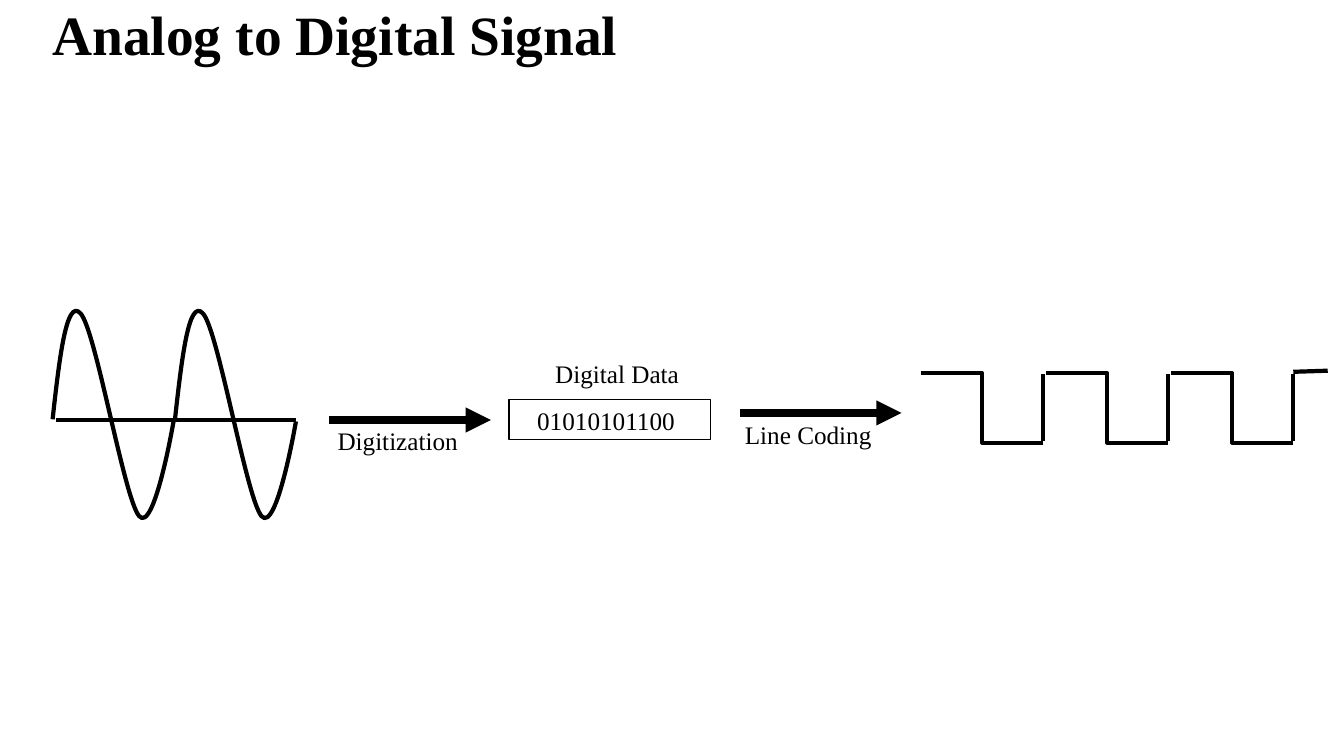
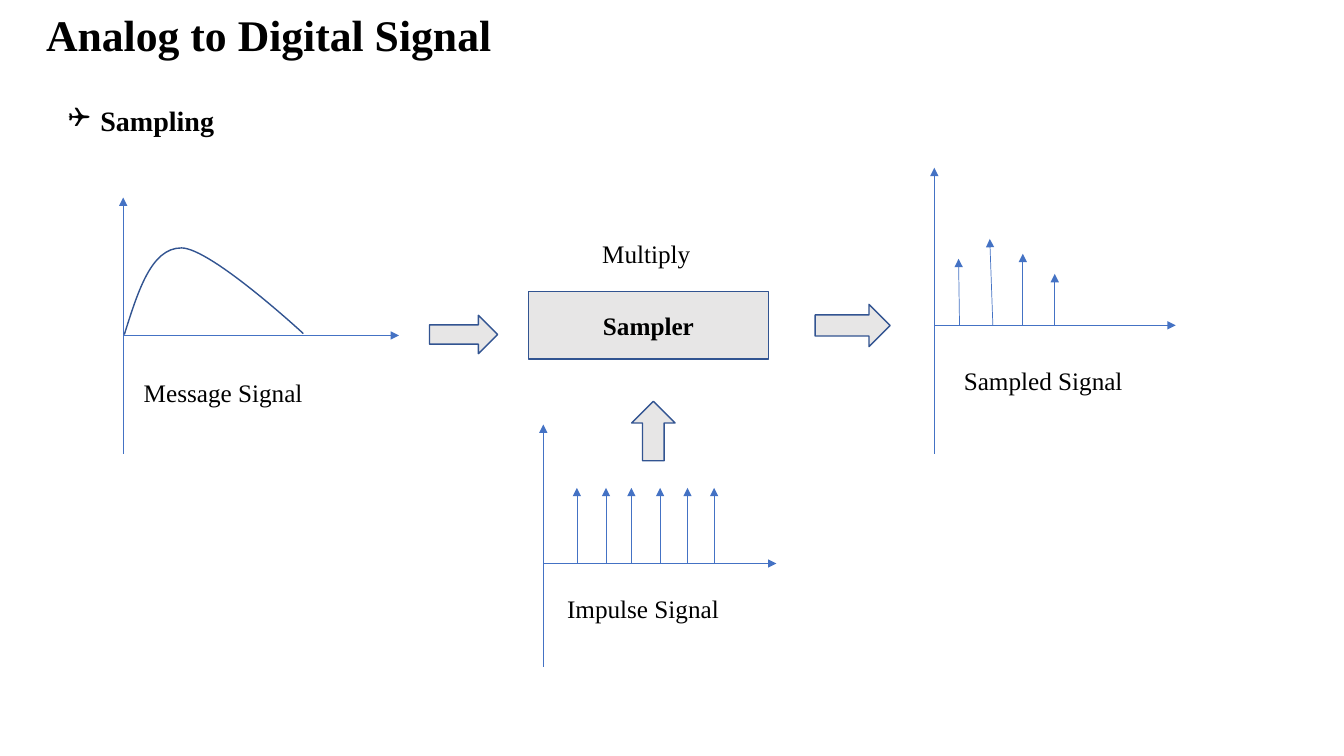
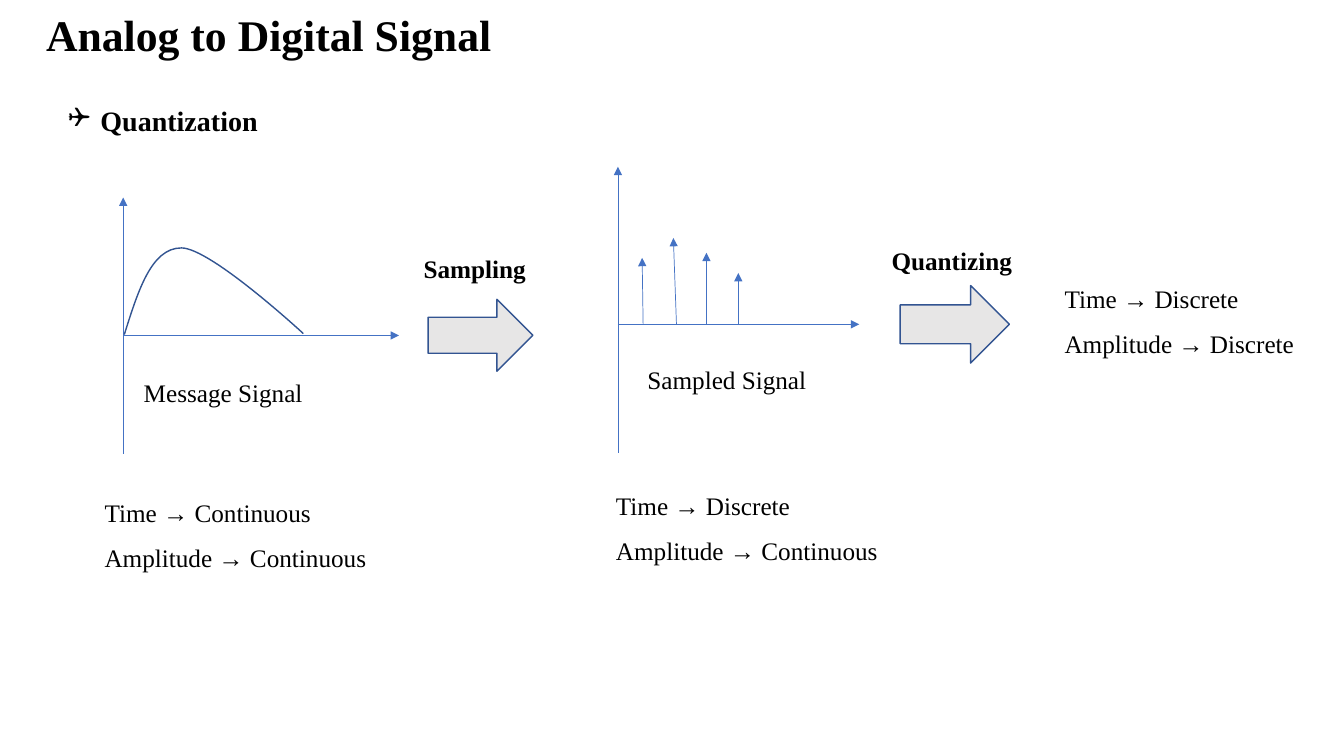
from dataclasses import dataclass
from typing import Any

from pptx import Presentation
from pptx import util as u
from pptx.dml.color import RGBColor
from pptx.enum import shapes, text
from pptx.oxml import ns, xmlchemy
from pptx.slide import Slide

FONT = "Times New Roman"
BULLET_FONT = "Wingdings"
TITLE = "Analog to Digital Signal"
TITLE_ONLY = 5
COLORS = {
    "ink": "000000",
    "paper": "FFFFFF",
    "axis": "4472C4",
    "outline": "325491",
    "panel": "E7E6E6",
}

Point = tuple[float, float]
Bezier = tuple[Point, Point, Point]


@dataclass(frozen=True)
class Stroke:
    color: str
    width: float
    arrow: bool = False


@dataclass(frozen=True)
class Label:
    lines: tuple[str, ...]
    left: float
    top: float
    width: float = 136.8
    bold: bool = False
    spacing: float = 1.0


@dataclass(frozen=True)
class Block:
    kind: Any
    left: float
    top: float
    width: float
    height: float
    fill: str = "panel"
    line: Stroke = Stroke("outline", 1)


@dataclass(frozen=True)
class Impulse:
    offset: float
    height: float
    lean: float = 0


@dataclass(frozen=True)
class Axes:
    """Axis lengths are measured from the origin."""
    x: float
    y: float
    right: float
    up: float
    down: float
    impulses: tuple[Impulse, ...] = ()


INK = Stroke("ink", 3)
THICK_ARROW = Stroke("ink", 6, arrow=True)
AXIS = Stroke("axis", 0.5, arrow=True)
CURVE = Stroke("outline", 1)

SAMPLES = (
    Impulse(18, 47.5, -0.7),
    Impulse(41.8, 61.7, -2.2),
    Impulse(63.2, 51.1),
    Impulse(86, 36.7),
)
TRAIN = tuple(Impulse(offset, 54) for offset in (24, 44.8, 62.9, 83.4, 103, 122))

SINE_START: Point = (37.6, 299.5)
SINE_CYCLE: tuple[Bezier, ...] = (
    ((42.5, 255.6), (47.5, 212.4), (57.6, 223.9)),
    ((68.4, 235.4), (88.6, 355.7), (99.4, 368.6)),
    ((110.2, 381.6), (124, 301), (124, 301)),
)
MESSAGE_START: Point = (88.8, 239)
MESSAGE_CURVE: tuple[Bezier, ...] = (
    ((98.6, 208.1), (108, 177.1), (129.6, 177.1)),
    ((150.5, 177.1), (216.7, 238.3), (216.7, 238.3)),
)


def rgb(name: str) -> RGBColor:
    return RGBColor.from_string(COLORS[name])


def set_format(target: Any, values: dict[str, Any]) -> None:
    for name, value in values.items():
        setattr(target, name, value)


def set_line(shape: Any, stroke: Stroke) -> None:
    shape.line.color.rgb = rgb(stroke.color)
    shape.line.width = u.Pt(stroke.width)


def add_element(parent: Any, tag: str, **attributes: str) -> Any:
    child = xmlchemy.OxmlElement(tag)
    for name, value in attributes.items():
        child.set(name, value)
    parent.append(child)
    return child


def write(para: Any, wording: str, size: float, bold: bool) -> None:
    span = para.add_run()
    span.text = wording
    set_format(span.font, {"name": FONT, "size": u.Pt(size), "bold": bold})
    span.font.color.rgb = rgb("ink")


def add_title_slide(deck: Any, left: float, top: float, width: float,
                    height: float, size: float) -> Slide:
    slide = deck.slides.add_slide(deck.slide_layouts[TITLE_ONLY])
    title = slide.shapes.title
    set_format(title, {"left": u.Pt(left), "top": u.Pt(top),
                       "width": u.Pt(width), "height": u.Pt(height)})
    set_format(title.text_frame, {"word_wrap": True,
                                  "auto_size": text.MSO_AUTO_SIZE.NONE,
                                  "vertical_anchor": text.MSO_ANCHOR.MIDDLE})
    para = title.text_frame.paragraphs[0]
    set_format(para, {"alignment": text.PP_ALIGN.LEFT, "line_spacing": 0.9})
    write(para, TITLE, size, True)
    return slide


def add_topic_slide(deck: Any, topic: str) -> Slide:
    """Add a slide with the smaller title and one bulleted heading."""
    slide = add_title_slide(deck, 25.7, 0.5, 934.3, 52.6, 31.2)
    box = slide.shapes.add_textbox(u.Pt(41.6), u.Pt(58.3), u.Pt(918.4), u.Pt(474.5))
    box.text_frame.word_wrap = True
    para = box.text_frame.paragraphs[0]
    set_format(para, {"line_spacing": 1.5, "space_before": u.Pt(10)})
    write(para, f" {topic}", 20, True)
    properties = para._p.get_or_add_pPr()
    properties.set("marL", str(u.Pt(18)))
    properties.set("indent", str(u.Pt(-18)))
    add_element(properties, "a:buFont", typeface=BULLET_FONT)
    add_element(properties, "a:buChar", char="❑")
    return slide


def add_label(slide: Slide, label: Label) -> None:
    height = 28.8 if len(label.lines) == 1 else 69.1
    box = slide.shapes.add_textbox(u.Pt(label.left), u.Pt(label.top),
                                   u.Pt(label.width), u.Pt(height))
    frame = box.text_frame
    set_format(frame, {"word_wrap": True,
                       "auto_size": text.MSO_AUTO_SIZE.SHAPE_TO_FIT_TEXT})
    for index, wording in enumerate(label.lines):
        para = frame.add_paragraph() if index else frame.paragraphs[0]
        para.line_spacing = label.spacing
        write(para, wording, 18, label.bold)


def add_block(slide: Slide, block: Block) -> Any:
    shape = slide.shapes.add_shape(block.kind, u.Pt(block.left), u.Pt(block.top),
                                   u.Pt(block.width), u.Pt(block.height))
    shape.shadow.inherit = False
    shape.fill.solid()
    shape.fill.fore_color.rgb = rgb(block.fill)
    set_line(shape, block.line)
    return shape


def add_line(slide: Slide, start: Point, end: Point, stroke: Stroke,
             kind: Any = shapes.MSO_CONNECTOR.STRAIGHT) -> None:
    line = slide.shapes.add_connector(kind, *(u.Pt(value) for value in start + end))
    set_line(line, stroke)
    properties = line.element.spPr
    if stroke.arrow:
        add_element(properties.find(ns.qn("a:ln")), "a:tailEnd", type="triangle")
    add_element(properties, "a:effectLst")


def add_curve(slide: Slide, start: Point, curves: tuple[Bezier, ...],
              stroke: Stroke, shift: float = 0) -> None:
    """Build a freeform through the end points, then bend each segment."""
    def place(point: Point) -> tuple[int, int]:
        return u.Pt(point[0] + shift), u.Pt(point[1])

    builder = slide.shapes.build_freeform(*place(start))
    builder.add_line_segments([place(curve[-1]) for curve in curves], close=False)
    shape = builder.convert_to_shape()
    shape.shadow.inherit = False
    shape.fill.background()
    set_line(shape, stroke)
    segments = list(shape.element.iter(ns.qn("a:lnTo")))
    for segment, curve in zip(segments, curves):
        bend = xmlchemy.OxmlElement("a:cubicBezTo")
        for x, y in map(place, curve):
            add_element(bend, "a:pt", x=str(x - shape.left), y=str(y - shape.top))
        segment.getparent().replace(segment, bend)


def add_axes(slide: Slide, axes: Axes) -> None:
    x, y = axes.x, axes.y
    add_line(slide, (x, y), (x + axes.right, y), AXIS)
    add_line(slide, (x, y + axes.down), (x, y - axes.up), AXIS)
    for impulse in axes.impulses:
        foot = x + impulse.offset
        add_line(slide, (foot, y), (foot + impulse.lean, y - impulse.height), AXIS)


def add_message_signal(slide: Slide) -> None:
    add_axes(slide, Axes(88, 239.6, 197, 98.5, 84.4))
    add_curve(slide, MESSAGE_START, MESSAGE_CURVE, CURVE)
    add_label(slide, Label(("Message Signal",), 95.6, 266))


def add_sampled_signal(slide: Slide, x: float, y: float) -> None:
    add_axes(slide, Axes(x, y, 172.4, 112.6, 91.8, SAMPLES))
    add_label(slide, Label(("Sampled Signal",), x + 14, y + 25.3))


def add_square_wave(slide: Slide) -> None:
    left, top, period, width, depth = 658.1, 266.6, 89.3, 87.1, 49.6
    for cycle in range(3):
        start = left + cycle * period
        rise = start + width
        add_line(slide, (start, top), (rise, top + depth), INK,
                 shapes.MSO_CONNECTOR.ELBOW)
        add_line(slide, (rise, top + depth - 1), (rise, top + 0.5), INK)
    add_line(slide, (rise, 265.6), (948.4, 264.8), INK)


def build_overview(deck: Any) -> None:
    slide = add_title_slide(deck, 30.2, 1.4, 837.4, 50.4, 39.6)
    add_line(slide, (39.8, 300.2), (211.8, 300.2), INK)
    for shift in (0, 87.4):
        add_curve(slide, SINE_START, SINE_CYCLE, INK, shift)
    for x, y in ((235.2, 300), (528.6, 295)):
        add_line(slide, (x, y), (x + 115.4, y), THICK_ARROW)
    add_block(slide, Block(shapes.MSO_SHAPE.RECTANGLE, 363.6, 285.4, 144, 28.8,
                           "paper", Stroke("ink", 1)))
    for label in (
        Label(("Digital Data",), 389.5, 252.7, 128.9),
        Label(("Digitization",), 234, 300.5, 128.9),
        Label(("01010101100",), 376.6, 286.2, 128.9),
        Label(("Line Coding",), 525, 296.1, 115.2),
    ):
        add_label(slide, label)
    add_square_wave(slide)


def build_sampling(deck: Any) -> None:
    slide = add_topic_slide(deck, "Sampling")
    add_message_signal(slide)
    add_axes(slide, Axes(388.1, 402.5, 166.5, 99.2, 73.7, TRAIN))
    add_label(slide, Label(("Impulse Signal",), 398, 420.5))
    add_sampled_signal(slide, 667.4, 232.4)
    for arrow in (
        Block(shapes.MSO_SHAPE.RIGHT_ARROW, 306.8, 225.2, 48.6, 27.4),
        Block(shapes.MSO_SHAPE.UP_ARROW, 451.2, 286.6, 31, 42.5),
        Block(shapes.MSO_SHAPE.RIGHT_ARROW, 582.2, 217.4, 53.6, 30.2),
    ):
        add_block(slide, arrow)
    sampler = add_block(slide, Block(shapes.MSO_SHAPE.RECTANGLE,
                                     377.4, 208.2, 171.6, 48.4))
    sampler.text_frame.vertical_anchor = text.MSO_ANCHOR.MIDDLE
    para = sampler.text_frame.paragraphs[0]
    para.alignment = text.PP_ALIGN.CENTER
    write(para, "Sampler", 18, True)
    add_label(slide, Label(("Multiply",), 423, 166.6, 77.8))


def build_quantization(deck: Any) -> None:
    slide = add_topic_slide(deck, "Quantization")
    add_message_signal(slide)
    add_sampled_signal(slide, 441.4, 231.7)
    for arrow in (
        Block(shapes.MSO_SHAPE.RIGHT_ARROW, 305.8, 213.8, 74.9, 51.4),
        Block(shapes.MSO_SHAPE.RIGHT_ARROW, 643, 204, 78, 55.4),
    ):
        add_block(slide, arrow)
    add_label(slide, Label(("Sampling",), 295.5, 177.3, 92.2, bold=True))
    add_label(slide, Label(("Quantizing",), 629.8, 171.9, 119.5, bold=True))
    for left, top, time, amplitude in (
        (67.6, 340.6, "Continuous", "Continuous"),
        (432.9, 335.8, "Discrete", "Continuous"),
        (753.3, 187.9, "Discrete", "Discrete"),
    ):
        lines = (f"Time → {time}", f"Amplitude → {amplitude}")
        add_label(slide, Label(lines, left, top, 217.4, spacing=1.5))


def main() -> None:
    deck = Presentation()
    set_format(deck, {"slide_width": u.Pt(960), "slide_height": u.Pt(540)})
    for build in (build_overview, build_sampling, build_quantization):
        build(deck)
    deck.save("out.pptx")


if __name__ == "__main__":
    main()
